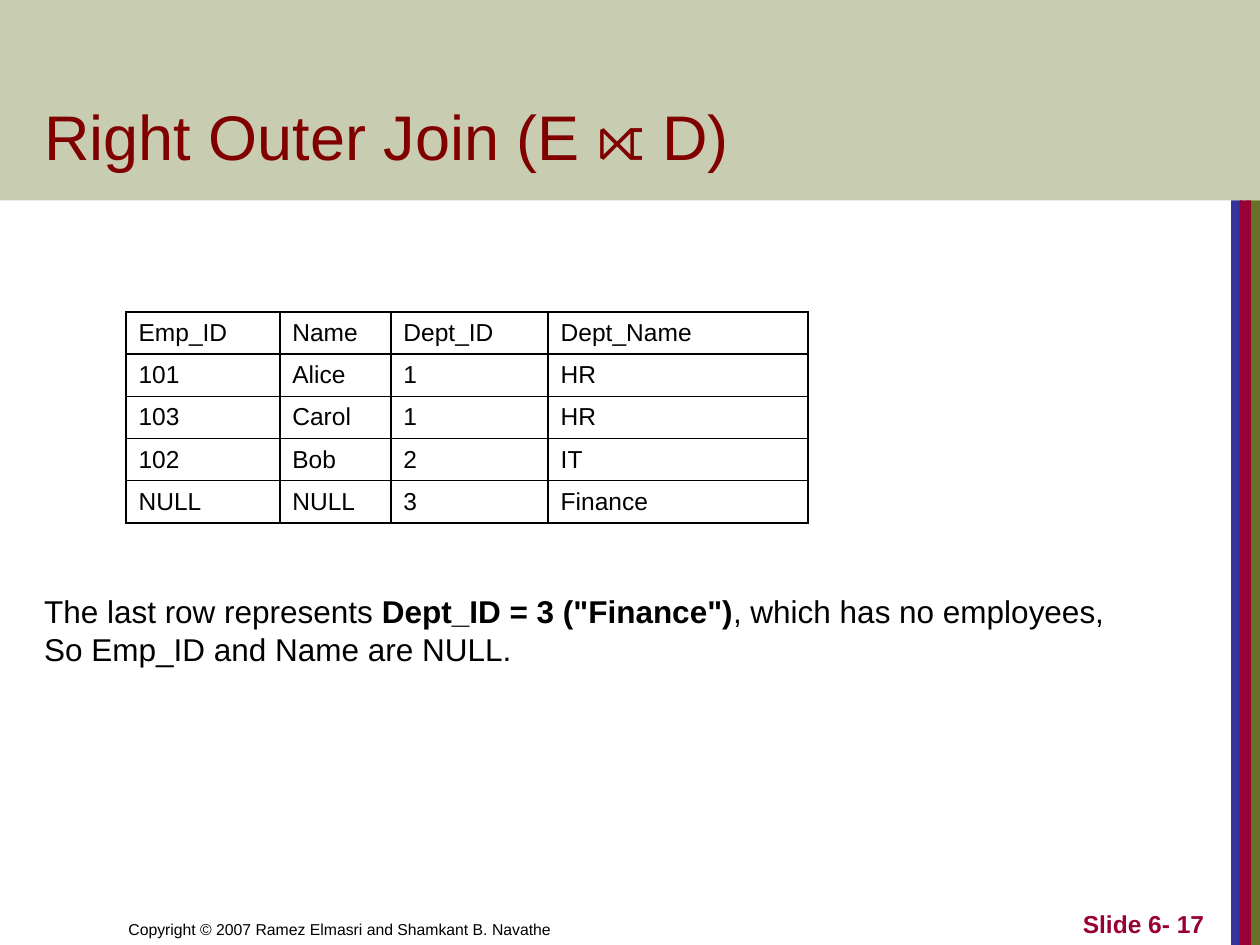
import dataclasses

import lxml.etree
import pptx
import pptx.dml.color
import pptx.enum.shapes
import pptx.enum.text
import pptx.oxml.ns
import pptx.util
from pptx.util import Cm

ALIGN = pptx.enum.text.PP_ALIGN
ANCHOR = pptx.enum.text.MSO_ANCHOR
BLACK = "000000"
CRIMSON = "990033"
OLIVE = "677228"


@dataclasses.dataclass
class Box:
    left: float
    top: float
    width: float
    height: float

    def lengths(self) -> tuple:
        return Cm(self.left), Cm(self.top), Cm(self.width), Cm(self.height)


@dataclasses.dataclass
class Bar:
    box: Box
    color: str
    opacity: int = 100


@dataclasses.dataclass
class Style:
    size: int
    color: str = BLACK
    bold: bool = False
    align: ALIGN = ALIGN.LEFT


BARS = [
    Bar(Box(25.12, 4.04, 0.28, 15.01), OLIVE),
    Bar(Box(24.82, 4.04, 0.23, 15.01), "333399"),
    Bar(Box(24.99, 4.04, 0.23, 15.01), CRIMSON),
    Bar(Box(0, 0, 25.4, 4.04), OLIVE, 36),
]
COLUMN_WIDTHS = [3.1, 2.24, 3.17, 5.24]
ROW_HEIGHT = 0.85
JOIN_ROWS = [
    ["Emp_ID", "Name", "Dept_ID", "Dept_Name"],
    ["101", "Alice", "1", "HR"],
    ["103", "Carol", "1", "HR"],
    ["102", "Bob", "2", "IT"],
    ["NULL", "NULL", "3", "Finance"],
]
EXPLANATION = [
    [
        ("The last row represents ", False),
        ('Dept_ID = 3 ("Finance")', True),
        (", which has no employees,", False),
    ],
    [("So Emp_ID and Name are NULL.", False)],
]


def rgb(color: str) -> pptx.dml.color.RGBColor:
    return pptx.dml.color.RGBColor.from_string(color)


def add_element(parent, tag: str, **attributes: str):
    return lxml.etree.SubElement(parent, pptx.oxml.ns.qn(tag), attributes)


def format_paragraph(paragraph, style: Style) -> None:
    paragraph.alignment = style.align
    paragraph.font.name = "Arial"
    paragraph.font.size = pptx.util.Pt(style.size)
    paragraph.font.bold = style.bold
    paragraph.font.color.rgb = rgb(style.color)


def format_frame(frame, anchor: ANCHOR) -> None:
    frame.word_wrap = True
    frame.auto_size = pptx.enum.text.MSO_AUTO_SIZE.NONE
    frame.vertical_anchor = anchor


def add_bar(slide, bar: Bar) -> None:
    shape = slide.shapes.add_shape(
        pptx.enum.shapes.MSO_SHAPE.RECTANGLE, *bar.box.lengths()
    )
    shape.shadow.inherit = False
    shape.line.fill.background()
    shape.fill.solid()
    shape.fill.fore_color.rgb = rgb(bar.color)
    if bar.opacity < 100:
        color = next(shape.element.spPr.iter(pptx.oxml.ns.qn("a:srgbClr")))
        add_element(color, "a:alpha", val=str(bar.opacity * 1000))


def add_label(slide, text: str, box: Box, style: Style) -> None:
    frame = slide.shapes.add_textbox(*box.lengths()).text_frame
    format_frame(frame, ANCHOR.BOTTOM)
    frame.text = text
    format_paragraph(frame.paragraphs[0], style)


def place_title(slide, text: str, box: Box, style: Style) -> None:
    title = slide.shapes.title
    title.left, title.top, title.width, title.height = box.lengths()
    format_frame(title.text_frame, ANCHOR.BOTTOM)
    title.text_frame.text = text
    format_paragraph(title.text_frame.paragraphs[0], style)
    title.element.getparent().append(title.element)


def add_borders(cell) -> None:
    properties = cell._tc.get_or_add_tcPr()
    for side in ("a:lnL", "a:lnR", "a:lnT", "a:lnB"):
        line = add_element(properties, side, w=str(pptx.util.Pt(1)))
        add_element(add_element(line, "a:solidFill"), "a:srgbClr", val=BLACK)


def add_join_table(slide, left: float, top: float) -> None:
    box = Box(left, top, sum(COLUMN_WIDTHS), ROW_HEIGHT * len(JOIN_ROWS))
    table = slide.shapes.add_table(
        len(JOIN_ROWS), len(COLUMN_WIDTHS), *box.lengths()
    ).table
    table.first_row = False
    table.horz_banding = False
    for column, width in zip(table.columns, COLUMN_WIDTHS):
        column.width = Cm(width)
    for row, values in zip(table.rows, JOIN_ROWS):
        row.height = Cm(ROW_HEIGHT)
        for cell, value in zip(row.cells, values):
            cell.text = value
            cell.vertical_anchor = ANCHOR.MIDDLE
            format_paragraph(cell.text_frame.paragraphs[0], Style(14))
            add_borders(cell)
            cell.fill.background()


def add_explanation(slide, box: Box) -> None:
    frame = slide.shapes.add_textbox(*box.lengths()).text_frame
    format_frame(frame, ANCHOR.MIDDLE)
    frame.word_wrap = False
    for index, runs in enumerate(EXPLANATION):
        paragraph = frame.add_paragraph() if index else frame.paragraphs[0]
        format_paragraph(paragraph, Style(18))
        for text, bold in runs:
            run = paragraph.add_run()
            run.text = text
            run.font.bold = bold


def main() -> None:
    presentation = pptx.Presentation()
    presentation.slide_width = Cm(25.4)
    presentation.slide_height = Cm(19.05)
    slide = presentation.slides.add_slide(presentation.slide_layouts[5])
    for bar in BARS:
        add_bar(slide, bar)
    add_label(
        slide,
        "Copyright © 2007 Ramez Elmasri and Shamkant B. Navathe",
        Box(2.34, 17.78, 12.5, 1.27),
        Style(9),
    )
    place_title(
        slide,
        "Right Outer Join (E ⟖ D)",
        Box(0.64, 0.84, 21.67, 2.77),
        Style(36, "800000"),
    )
    add_label(
        slide,
        "Slide 6- 17",
        Box(19.25, 17.78, 5.28, 1.27),
        Style(14, CRIMSON, True, ALIGN.RIGHT),
    )
    add_join_table(slide, 2.54, 6.29)
    add_explanation(slide, Box(0.64, 11.8, 22.25, 1.79))
    presentation.save("out.pptx")


if __name__ == "__main__":
    main()
